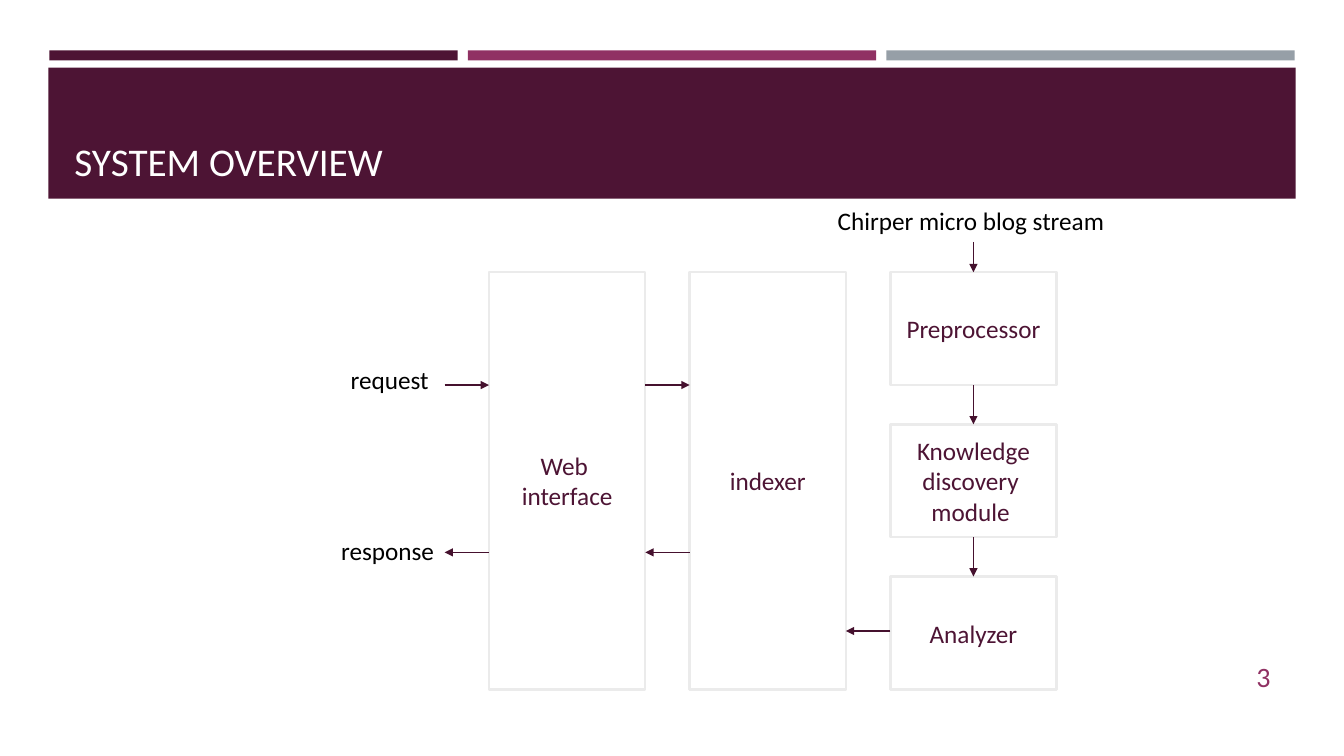
import pptx
import pptx.dml.color
import pptx.enum.shapes
import pptx.enum.text
import pptx.oxml
import pptx.oxml.ns
import pptx.util

RGBColor = pptx.dml.color.RGBColor
PLUM = RGBColor(0x4D, 0x14, 0x34)
MAGENTA = RGBColor(0x90, 0x31, 0x63)
SLATE = RGBColor(0x96, 0x9F, 0xA7)
ARROW_PLUM = RGBColor(0x45, 0x11, 0x2E)
PALE_GREY = RGBColor(0xEB, 0xEB, 0xEB)
WHITE = RGBColor(0xFF, 0xFF, 0xFF)
BLACK = RGBColor(0, 0, 0)

ALIGN = pptx.enum.text.PP_ALIGN
ANCHOR = pptx.enum.text.MSO_ANCHOR
RECTANGLE = pptx.enum.shapes.MSO_SHAPE.RECTANGLE
STRAIGHT = pptx.enum.shapes.MSO_CONNECTOR.STRAIGHT
Inches = pptx.util.Inches

deck = pptx.Presentation()
deck.slide_width, deck.slide_height = Inches(13.33), Inches(7.5)
slide = deck.slides.add_slide(deck.slide_layouts[6])


def write(holder, lines, size, color, align, anchor):
    frame = holder.text_frame
    frame.word_wrap = True
    frame.vertical_anchor = anchor
    frame.text = "\n".join(lines)
    for paragraph in frame.paragraphs:
        paragraph.alignment = align
        font_format = {"name": "Calibri", "size": pptx.util.Pt(size)}
        for attribute, value in font_format.items():
            setattr(paragraph.font, attribute, value)
        paragraph.font.color.rgb = color


def add_rectangle(left, top, width, height, fill=None):
    """Add a filled band, or an outlined box when no fill is given."""
    rectangle = slide.shapes.add_shape(RECTANGLE, *map(Inches, (left, top, width, height)))
    rectangle.shadow.inherit = False
    if fill is None:
        rectangle.fill.background()
        rectangle.line.color.rgb = PALE_GREY
        rectangle.line.width = pptx.util.Pt(1.75)
    else:
        rectangle.fill.solid()
        rectangle.fill.fore_color.rgb = fill
        rectangle.line.fill.background()
    return rectangle


# Header: three accent strips above the title band
for index, strip_color in enumerate((PLUM, MAGENTA, SLATE)):
    add_rectangle(0.49 + index * 4.15, 0.5, 4.05, 0.1, strip_color)
add_rectangle(0.48, 0.67, 12.37, 1.3, PLUM)

# Module grid: three columns and three rows
column_pitch, row_pitch = 1.99, 1.51
web_left, indexer_left, pipeline_left = (4.85 + i * column_pitch for i in range(3))
row_tops = [2.7 + i * row_pitch for i in range(3)]
tall_width, module_width, module_height = 1.55, 1.65, 1.12
tall_height = 2 * row_pitch + module_height
gap = column_pitch - tall_width

modules = [
    (web_left, row_tops[0], tall_width, tall_height, ["Web ", "interface"]),
    (indexer_left, row_tops[0], tall_width, tall_height, ["indexer"]),
]
pipeline = (["Preprocessor"], ["Knowledge discovery ", "module "], ["Analyzer"])
for top, lines in zip(row_tops, pipeline):
    modules.append((pipeline_left, top, module_width, module_height, lines))
for left, top, width, height, lines in modules:
    write(add_rectangle(left, top, width, height), lines, 18, PLUM,
          ALIGN.CENTER, ANCHOR.MIDDLE)

# Arrows: each runs from its start to its pointed end
request_y, response_y, analyzer_y = 3.82, 5.48, 6.26
pipeline_x = pipeline_left + module_width / 2
arrows = [
    (pipeline_x, 2.4, pipeline_x, row_tops[0]),
    (pipeline_left, analyzer_y, pipeline_left - gap, analyzer_y),
]
for top in row_tops[1:]:
    arrows.append((pipeline_x, top - row_pitch + module_height, pipeline_x, top))
for right in (web_left, indexer_left):
    arrows.append((right - gap, request_y, right, request_y))
    arrows.append((right, response_y, right - gap, response_y))
for ends in arrows:
    arrow = slide.shapes.add_connector(STRAIGHT, *map(Inches, ends))
    arrow.line.color.rgb = ARROW_PLUM
    arrow.line.width = pptx.util.Pt(1)
    head = pptx.oxml.parse_xml(
        f'<a:tailEnd {pptx.oxml.ns.nsdecls("a")} type="triangle"/>')
    arrow.line._get_or_add_ln().append(head)
    arrow._element.spPr.append(
        pptx.oxml.parse_xml(f'<a:effectLst {pptx.oxml.ns.nsdecls("a")}/>'))

# Title, flow labels and page number
labels = [
    (0.64, 0.77, 12.06, 1.11, "SYSTEM OVERVIEW", 28, WHITE, ALIGN.LEFT, ANCHOR.BOTTOM),
    (8.21, 1.99, 2.9, 0.4, "Chirper micro blog stream", 18, BLACK, ALIGN.LEFT, ANCHOR.TOP),
    (3.3, 3.57, 1.13, 0.4, "request", 18, BLACK, ALIGN.CENTER, ANCHOR.TOP),
    (3.28, 5.26, 1.13, 0.4, "response", 18, BLACK, ALIGN.CENTER, ANCHOR.TOP),
    (11.55, 6.51, 1.15, 0.4, "3", 20, MAGENTA, ALIGN.RIGHT, ANCHOR.MIDDLE),
]
for left, top, width, height, wording, *style in labels:
    label = slide.shapes.add_textbox(*map(Inches, (left, top, width, height)))
    write(label, [wording], *style)

deck.save("out.pptx")
